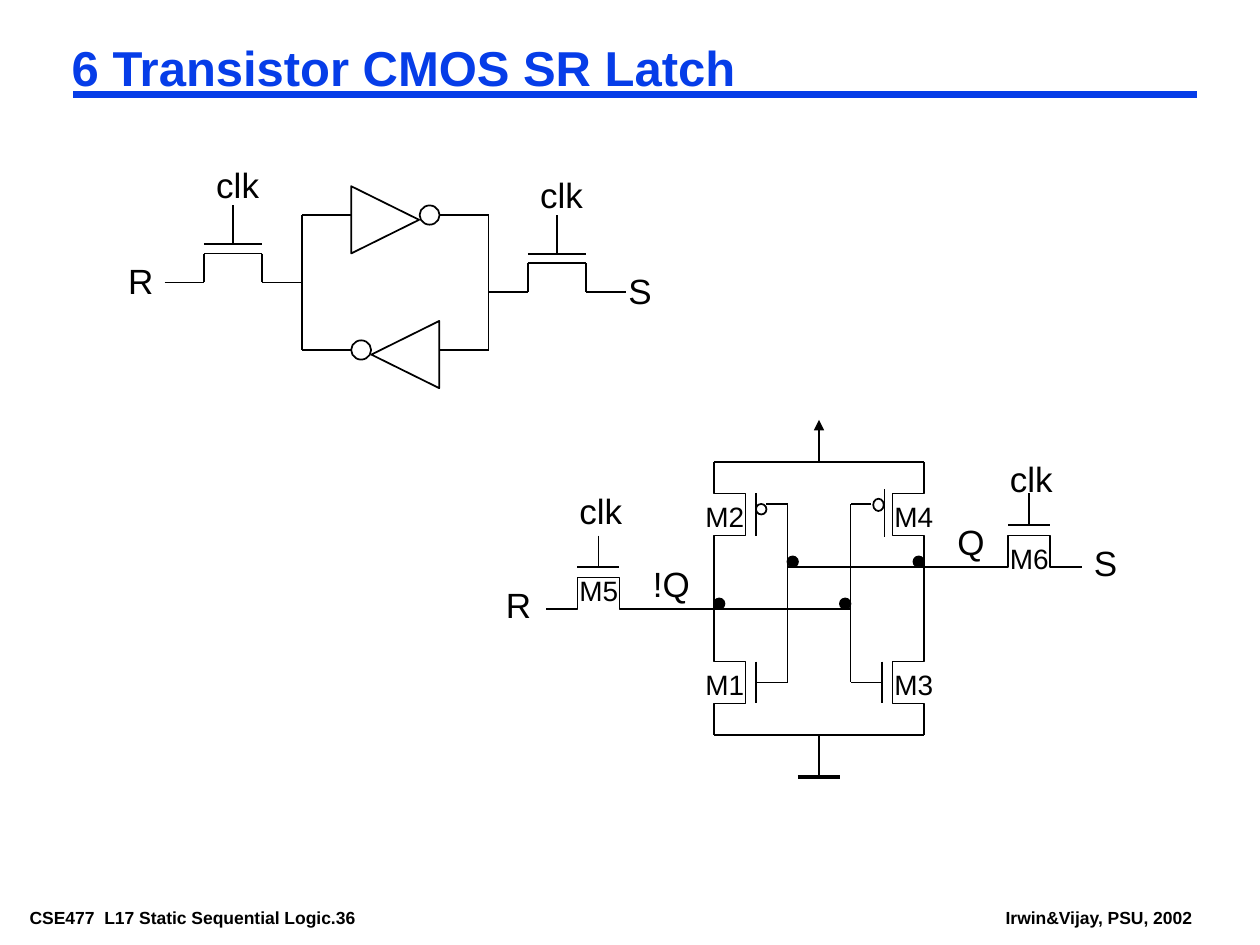
from lxml import etree
from pptx import Presentation
from pptx import util as u
from pptx.dml.color import RGBColor
from pptx.enum import shapes, text
from pptx.oxml import ns

BLACK = RGBColor(0x00, 0x00, 0x00)
BLUE = RGBColor(0x06, 0x3D, 0xE8)
FONT = "Arial"
LABEL_WIDTHS = {"clk": 39, "R": 28.9, "S": 27.8, "Q": 30, "!Q": 36}
DEVICE_WIDTH = 36.8


def add_line(slide, start, end, width=1, color=BLACK, arrow_at_start=False):
    line = slide.shapes.add_connector(
        shapes.MSO_CONNECTOR.STRAIGHT, *map(u.Pt, (*start, *end)))
    line.line.color.rgb = color
    line.line.width = u.Pt(width)
    if arrow_at_start:
        outline = line.line._get_or_add_ln()
        etree.SubElement(outline, ns.qn("a:headEnd"), type="triangle")
    etree.SubElement(line._element.spPr, ns.qn("a:effectLst"))


def style_outline(shape, filled=False):
    shape.shadow.inherit = False
    if filled:
        shape.fill.solid()
        shape.fill.fore_color.rgb = BLACK
    else:
        shape.fill.background()
    shape.line.color.rgb = BLACK
    shape.line.width = u.Pt(1)


def add_preset(slide, kind, left, top, width, height, rotation=0, filled=False):
    shape = slide.shapes.add_shape(kind, *map(u.Pt, (left, top, width, height)))
    shape.rotation = rotation
    style_outline(shape, filled)


def add_circle(slide, left, top, width=6, height=6, filled=False):
    add_preset(slide, shapes.MSO_SHAPE.OVAL, left, top, width, height, filled=filled)


def add_channel(slide, points):
    """Draw a transistor channel as one open stepped outline."""
    points = [(u.Pt(x), u.Pt(y)) for x, y in points]
    builder = slide.shapes.build_freeform(*points[0])
    builder.add_line_segments(points[1:], close=False)
    style_outline(builder.convert_to_shape())


def format_text(frame, size, color=BLACK, bold=False, insets=(7.2, 3.6)):
    frame.margin_left = frame.margin_right = u.Pt(insets[0])
    frame.margin_top = frame.margin_bottom = u.Pt(insets[1])
    frame.vertical_anchor = text.MSO_ANCHOR.TOP
    paragraph = frame.paragraphs[0]
    paragraph.alignment = text.PP_ALIGN.LEFT
    for run in paragraph.runs:
        run.font.name = FONT
        run.font.size = u.Pt(size)
        run.font.bold = bold
        run.font.color.rgb = color


def add_text(slide, words, left, top, width, height, size, **formatting):
    box = slide.shapes.add_textbox(*map(u.Pt, (left, top, width, height)))
    frame = box.text_frame
    frame.text = words
    frame.word_wrap = False
    frame.auto_size = text.MSO_AUTO_SIZE.SHAPE_TO_FIT_TEXT
    format_text(frame, size, **formatting)


def add_signal(slide, words, left, top):
    add_text(slide, words, left, top, LABEL_WIDTHS[words], 31.7, 20)


def add_device_name(slide, words, left, top):
    add_text(slide, words, left, top, DEVICE_WIDTH, 26.6, 16)


def add_title(slide):
    title = slide.shapes.title
    title.left, title.top, title.width, title.height = map(u.Pt, (36, 24, 624, 33))
    frame = title.text_frame
    frame.text = "6 Transistor CMOS SR Latch"
    frame.word_wrap = True
    frame.auto_size = text.MSO_AUTO_SIZE.NONE
    frame.paragraphs[0].line_spacing = 0.87
    format_text(frame, 28, color=BLUE, bold=True, insets=(5, 2.2))


def add_frame(slide):
    """Add the footer texts and the rule under the title."""
    for words, left, width in (("CSE477  L17 Static Sequential Logic.36", 12, 233),
                               ("Irwin&Vijay, PSU, 2002", 569.7, 117.4)):
        add_text(slide, words, left, 516, width, 16, 10, bold=True, insets=(5, 2.2))
    add_line(slide, (42, 54), (684, 54), width=4.5, color=BLUE)


def add_pass_gate(slide, left, base):
    """Draw a clocked transistor whose leads lie on the height base."""
    source, middle, drain, right = left + 22.4, left + 39, left + 55.5, left + 78.5
    channel, gate = base - 16.5, base - 22
    for start, end in (((left, base), (source, base)),
                       ((source, channel), (source, base)),
                       ((drain, channel), (drain, base)),
                       ((source, channel), (drain, channel)),
                       ((source, gate), (drain, gate)),
                       ((drain, base), (right, base)),
                       ((middle, gate - 22), (middle, gate))):
        add_line(slide, start, end)
    add_signal(slide, "clk", source, base - 71.3)


def add_gate_level_latch(slide):
    left, right, top, bottom = 172.6, 279.2, 123, 200.2
    inner_left, inner_right = 200.7, 251.2
    triangle = shapes.MSO_SHAPE.ISOSCELES_TRIANGLE
    add_preset(slide, triangle, 200.9, 106.2, 38.4, 38.8, rotation=90)
    add_circle(slide, 239.8, 117.4, 11.4, 11)
    add_preset(slide, triangle, 212.4, 183.2, 38.4, 38.8, rotation=270)
    add_circle(slide, inner_left, 194.5, 11.4, 11)
    for y in (top, bottom):
        add_line(slide, (left, y), (inner_left, y))
        add_line(slide, (inner_right, y), (right, y))
    for x in (left, right):
        add_line(slide, (x, top), (x, bottom))
    add_pass_gate(slide, 94.1, 161.4)
    add_pass_gate(slide, right, 167)
    add_signal(slide, "R", 66.2, 145)
    add_signal(slide, "S", 352, 150.5)


def add_inverter_branch(slide, rail, inward, names, names_left):
    """Draw a pull-up and pull-down pair; inward is 1 or -1, towards the centre."""
    channel, gate, feedback = (rail + inward * step for step in (18, 24, 42))
    for top, name in zip((264, 360), names):
        add_channel(slide, [(rail, top), (rail, top + 18), (channel, top + 18),
                            (channel, top + 42), (rail, top + 42), (rail, top + 60)])
        add_device_name(slide, name, names_left, top + 18)
    add_line(slide, (rail, 318), (rail, 366))
    add_line(slide, (gate, 378), (gate, 402))
    add_line(slide, (feedback, 288), (feedback, 390))
    add_line(slide, (gate, 390), (feedback, 390))
    add_line(slide, (gate + inward * 6, 288), (feedback, 288))


def add_access_transistor(slide, name, left, base, clock_top, name_top):
    """Draw the clocked device joining an input to a storage node."""
    source, drain, middle = left + 18, left + 42, left + 30
    channel, gate = base - 18, base - 24
    add_channel(slide, [(left, base), (source, base), (source, channel),
                        (drain, channel), (drain, base), (left + 60, base)])
    add_line(slide, (source, gate), (drain, gate))
    add_line(slide, (middle, gate - 18), (middle, gate))
    add_signal(slide, "clk", left + 12, clock_top)
    add_device_name(slide, name, left + 12, name_top)


def add_transistor_level_latch(slide):
    add_inverter_branch(slide, 408, 1, ("M2", "M1"), 396)
    add_inverter_branch(slide, 528, -1, ("M4", "M3"), 504)
    add_line(slide, (432, 282), (432, 306))
    add_line(slide, (505.5, 279.5), (505.5, 306.7))
    add_circle(slide, 432, 288)
    add_circle(slide, 499, 285, 6, 7)
    for rail_y in (264, 420):
        add_line(slide, (408, rail_y), (528, rail_y))
    add_line(slide, (468, 240), (468, 264), arrow_at_start=True)
    add_line(slide, (468, 420), (468, 444))
    add_line(slide, (456, 444), (480, 444), width=2.25)
    add_line(slide, (360, 348), (486, 348))
    add_line(slide, (450, 324), (576, 324))
    for left, top in ((408, 342), (480, 342), (450, 318), (522, 318)):
        add_circle(slide, left, top, filled=True)
    add_access_transistor(slide, "M5", 312, 348, clock_top=276, name_top=324)
    add_access_transistor(slide, "M6", 558, 324, clock_top=258, name_top=306)
    for words, left, top in (("R", 282, 330), ("!Q", 366, 318),
                             ("Q", 540, 294), ("S", 618, 306)):
        add_signal(slide, words, left, top)


def main():
    presentation = Presentation()
    presentation.slide_width, presentation.slide_height = u.Pt(720), u.Pt(540)
    slide = presentation.slides.add_slide(presentation.slide_layouts[5])
    add_frame(slide)
    add_title(slide)
    add_gate_level_latch(slide)
    add_transistor_level_latch(slide)
    presentation.save("out.pptx")


if __name__ == "__main__":
    main()
